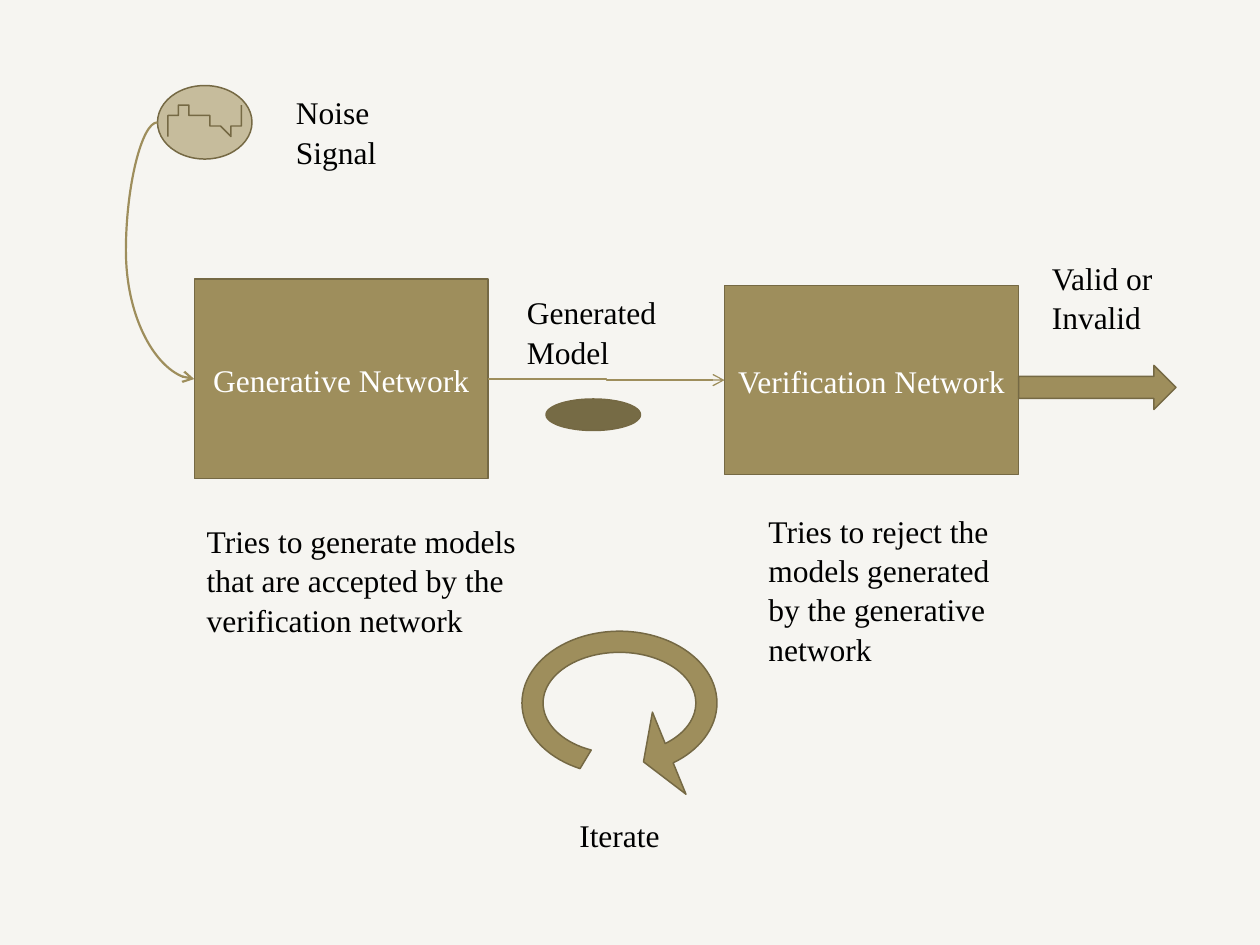
from lxml import etree
from pptx import Presentation
from pptx.dml.color import RGBColor
from pptx.enum.shapes import MSO_CONNECTOR, MSO_SHAPE
from pptx.enum.text import MSO_ANCHOR, PP_ALIGN
from pptx.oxml.ns import qn
from pptx.util import Inches, Pt

RECT, OVAL = MSO_SHAPE.RECTANGLE, MSO_SHAPE.OVAL
ARROW, LOOP = MSO_SHAPE.RIGHT_ARROW, MSO_SHAPE.CIRCULAR_ARROW
CURVE, ELBOW = MSO_CONNECTOR.CURVE, MSO_CONNECTOR.ELBOW
LEFT, CENTER = PP_ALIGN.LEFT, PP_ALIGN.CENTER
MIDDLE = MSO_ANCHOR.MIDDLE

PAPER = RGBColor(0xF6, 0xF5, 0xF1)
OLIVE = RGBColor(0x9E, 0x8E, 0x5C)
SAND = RGBColor(0xC6, 0xBC, 0x9C)
BARK = RGBColor(0x76, 0x6B, 0x45)
EDGE = RGBColor(0x75, 0x69, 0x44)
WHITE = RGBColor(0xFF, 0xFF, 0xFF)
BLACK = RGBColor(0, 0, 0)

FONT = "Times New Roman"
WIDTH, HEIGHT = Inches(10), Inches(7.5)
COLS, ROWS = 120, 90
CELL = WIDTH // COLS


def grid(*cells):
    """Turn grid columns and rows into slide lengths."""
    return [round(c * CELL) for c in cells]


def write(sp, text, color, align):
    """Write one wrapped paragraph into a shape."""
    tf = sp.text_frame
    tf.word_wrap = True
    p = tf.paragraphs[0]
    p.alignment = align
    p.line_spacing = 1.04
    r = p.add_run()
    r.text = text
    r.font.name = FONT
    r.font.size = Pt(18)
    r.font.color.rgb = color


def add_label(s, box, text, align=LEFT):
    """Add a black caption in the given grid box."""
    write(s.shapes.add_textbox(*grid(*box)), text, BLACK, align)


def add_block(s, kind, box, fill=OLIVE, edge=EDGE):
    """Add a flat filled shape in the given grid box."""
    sp = s.shapes.add_shape(kind, *grid(*box))
    sp.shadow.inherit = False
    sp.fill.solid()
    sp.fill.fore_color.rgb = fill
    sp.line.color.rgb = edge
    sp.line.width = Pt(0.85)
    return sp


def add_link(s, kind, start, end, width, bend=None):
    """Join two grid points with an open-headed connector."""
    cx = s.shapes.add_connector(kind, *grid(*start, *end))
    cx.line.color.rgb = OLIVE
    cx.line.width = Pt(width)
    spPr = cx._element.spPr
    etree.SubElement(spPr.find(qn("a:ln")), qn("a:tailEnd"), type="arrow")
    etree.SubElement(spPr, qn("a:effectLst"))
    if bend is not None:
        guides = spPr.find(qn("a:prstGeom")).get_or_add_avLst()
        etree.SubElement(guides, qn("a:gd"), name="adj1",
                         fmla=f"val {round(bend * 100000)}")


def bezier(points, steps=16):
    """Return points along a cubic curve, without its start."""
    def blend(t, a, b, c, d):
        u = 1 - t
        return u**3 * a + 3 * u * u * t * b + 3 * u * t * t * c + t**3 * d
    return [tuple(blend(i / steps, *axis) for axis in zip(*points))
            for i in range(1, steps + 1)]


def add_wave(s, box):
    """Draw the sine wave inside the given grid box."""
    x, y, w, h = box
    shares = [(0.03, 1), (0.01, 0.5), (0, 0.05), (0.14, 0.05),
              (0.27, 0.05), (0.75, 1), (0.9, 1),
              (1.03, 0.95), (1.02, 0.15), (0.97, 0)]
    knots = [(x + w * a, y + h * b) for a, b in shares]
    curve = [pt for i in (0, 3, 6) for pt in bezier(knots[i:i + 4])]
    fb = s.shapes.build_freeform(*knots[0], scale=CELL)
    fb.add_line_segments(curve, close=False)
    sp = fb.convert_to_shape()
    sp.shadow.inherit = False
    sp.fill.background()
    sp.line.color.rgb = EDGE
    sp.line.width = Pt(0.85)


def add_noise_source(s, box):
    """Draw the noise signal symbol and its caption."""
    x, y, w, h = box
    add_block(s, OVAL, box, SAND)
    add_wave(s, (x + w * 0.14, y + h * 0.29, w * 0.72, h * 0.35))
    add_label(s, (x + w + 3, y, 11, 8.5), "Noise Signal")


def add_network(s, box, name, note_box, note):
    """Draw a named network block with its explanation."""
    sp = add_block(s, RECT, box)
    sp.text_frame.vertical_anchor = MIDDLE
    write(sp, name, WHITE, CENTER)
    add_label(s, note_box, note)


def add_model(s, box):
    """Draw the generated model with its caption above."""
    x, y, w, h = box
    add_block(s, OVAL, box, BARK)
    add_label(s, (x - 3, y - 10.8, 17, 8.5), "Generated Model")


def add_verdict(s, box):
    """Draw the output arrow with its caption above."""
    x, y, w, h = box
    add_block(s, ARROW, box)
    add_label(s, (x + 2, y - 10.9, 19, 8.5), "Valid or Invalid")


def add_iteration(s, box):
    """Draw the loop arrow with its caption below."""
    x, y, w, h = box
    sp = add_block(s, LOOP, box)
    for i, value in enumerate((0.1, 13.5, 27.17, 72.59, 0.21)):
        sp.adjustments[i] = value
    add_label(s, (x, y + h, w, 4.8), "Iterate", CENTER)


def main():
    """Build the slide and save it."""
    prs = Presentation()
    prs.slide_width, prs.slide_height = WIDTH, HEIGHT
    s = prs.slides.add_slide(prs.slide_layouts[6])
    add_block(s, RECT, (0, 0, COLS, ROWS), PAPER, PAPER)
    add_network(s, (69, 27.2, 28, 18), "Verification Network",
                (72, 48, 27, 15.7),
                "Tries to reject the models generated by the generative network")
    add_network(s, (18.5, 26.6, 28, 19), "Generative Network",
                (18.5, 49, 33.5, 12.1),
                "Tries to generate models that are accepted by the verification network")
    add_noise_source(s, (15, 8.15, 9, 7))
    add_link(s, CURVE, (15, 11.65), (18.5, 36.1), 1.25, -0.86)
    add_link(s, ELBOW, (46.5, 36.1), (69, 36.2), 0.75)
    add_model(s, (52, 38, 9, 3))
    add_verdict(s, (97, 34.8, 15, 4.2))
    add_iteration(s, (46.5, 56.9, 25, 20.1))
    prs.save("out.pptx")


if __name__ == "__main__":
    main()
